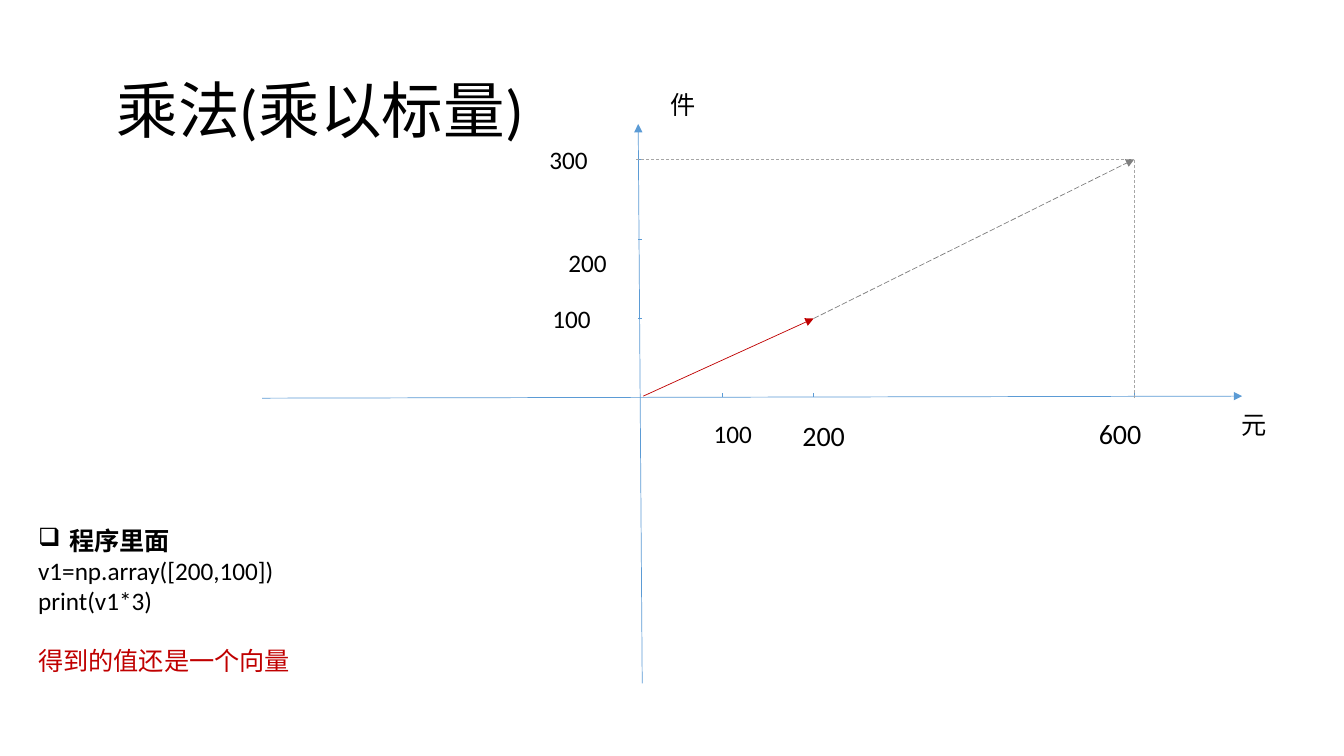
from lxml.etree import SubElement
from pptx import Presentation
from pptx.dml.color import RGBColor
from pptx.enum.dml import MSO_LINE as Dash
from pptx.enum.shapes import MSO_CONNECTOR as Connector
from pptx.enum.text import MSO_ANCHOR as Anchor, MSO_AUTO_SIZE as AutoSize, PP_ALIGN as Align
from pptx.oxml.ns import qn
from pptx.util import Inches, Pt

FONT = "Calibri"
BLACK, BLUE, RED = "000000", "5B9BD5", "C00000"
GRAY, LIGHT_GRAY = "808080", "A6A6A6"


def color(value):
    return RGBColor.from_string(value)


def style_text(para, size, ink=BLACK, bold=False):
    for span in para.runs:
        span.font.name = FONT
        span.font.size = Pt(size)
        span.font.bold = bold
        span.font.color.rgb = color(ink)


def place(shape, left, top, width, height):
    shape.left, shape.top = Inches(left), Inches(top)
    shape.width, shape.height = Inches(width), Inches(height)


def add_label(page, text, left, top, width=0.64, size=18):
    box = page.shapes.add_textbox(Inches(left), Inches(top), Inches(width), Inches(0.4))
    box.text_frame.word_wrap = True
    box.text_frame.text = text
    style_text(box.text_frame.paragraphs[0], size)


def add_line(page, start, end, ink=BLUE, dash=None, arrow=False):
    points = [Inches(value) for value in (*start, *end)]
    line = page.shapes.add_connector(Connector.STRAIGHT, *points)
    line.line.color.rgb = color(ink)
    line.line.width = Pt(0.5)
    if dash:
        line.line.dash_style = dash
    if arrow:
        SubElement(line.line._get_or_add_ln(), qn("a:tailEnd"), type="triangle")
    SubElement(line._element.spPr, qn("a:effectLst"))


def add_title(page, left, top, width, height):
    title = page.shapes.title
    place(title, left, top, width, height)
    frame = title.text_frame
    frame.text = " 乘法(乘以标量)"
    frame.auto_size = AutoSize.NONE
    frame.vertical_anchor = Anchor.MIDDLE
    para = frame.paragraphs[0]
    para.alignment = Align.LEFT
    para.line_spacing = 0.9
    style_text(para, 44)


def add_plot(page, left, top, width, height):
    right, bottom = left + width, top + height
    zero_x, zero_y = left + 3.77, top + 2.72
    columns = {100: zero_x + 0.79, 200: zero_x + 1.7, 600: zero_x + 4.88}
    rows = {value: zero_y - 0.79 * value / 100 for value in (100, 200, 300)}
    vector_tip = (columns[200], rows[100])
    scaled_tip = (columns[600], rows[300])

    add_line(page, (left, zero_y), (right, zero_y - 0.02), arrow=True)
    add_line(page, (zero_x, bottom), (zero_x - 0.04, top), arrow=True)
    for x in columns.values():
        add_line(page, (x, zero_y - 0.05), (x, zero_y - 0.01))
    for y in rows.values():
        add_line(page, (zero_x - 0.04, y), (zero_x, y))

    add_line(page, (zero_x + 0.01, zero_y - 0.02), vector_tip, RED, arrow=True)
    add_line(page, vector_tip, scaled_tip, GRAY, Dash.LONG_DASH, arrow=True)
    add_line(page, (zero_x - 0.06, rows[300]), scaled_tip, LIGHT_GRAY, Dash.DASH)
    add_line(page, (columns[600], zero_y), scaled_tip, LIGHT_GRAY, Dash.DASH)

    for value, shift, drop, size in ((100, -0.18, 0.15, 18), (200, -0.21, 0.15, 20), (600, -0.45, 0.13, 20)):
        add_label(page, str(value), columns[value] + shift, zero_y + drop, size=size)
    for value, shift, rise in ((100, -0.99, 0.2), (200, -0.83, -0.03), (300, -1.02, 0.2)):
        add_label(page, str(value), zero_x + shift, rows[value] - rise)
    add_label(page, "元", right - 0.1, zero_y + 0.06, 0.86)
    add_label(page, "件", zero_x + 0.18, top - 0.39, 0.86)


def add_code(page, left, top, width, height):
    box = page.shapes.add_textbox(Inches(left), Inches(top), Inches(width), Inches(height))
    frame = box.text_frame
    frame.word_wrap = True
    frame.text = "程序里面\nv1=np.array([200,100])\nprint(v1*3)\n得到的值还是一个向量"
    heading, *code, result = frame.paragraphs
    settings = heading._p.get_or_add_pPr()
    settings.set("marL", str(Inches(0.31)))
    settings.set("indent", str(Inches(-0.31)))
    SubElement(settings, qn("a:buChar"), char="❑")
    style_text(heading, 18, bold=True)
    for para in code:
        style_text(para, 18)
    result.space_before = Pt(21)
    style_text(result, 18, RED)


def main():
    deck = Presentation()
    deck.slide_width, deck.slide_height = Inches(13.33), Inches(7.5)
    page = deck.slides.add_slide(deck.slide_layouts[5])
    add_title(page, 0.92, 0.4, 11.5, 1.45)
    add_plot(page, 2.6, 1.23, 9.72, 5.55)
    add_code(page, 0.28, 5.16, 4.3, 1.62)
    deck.save("out.pptx")


if __name__ == "__main__":
    main()
